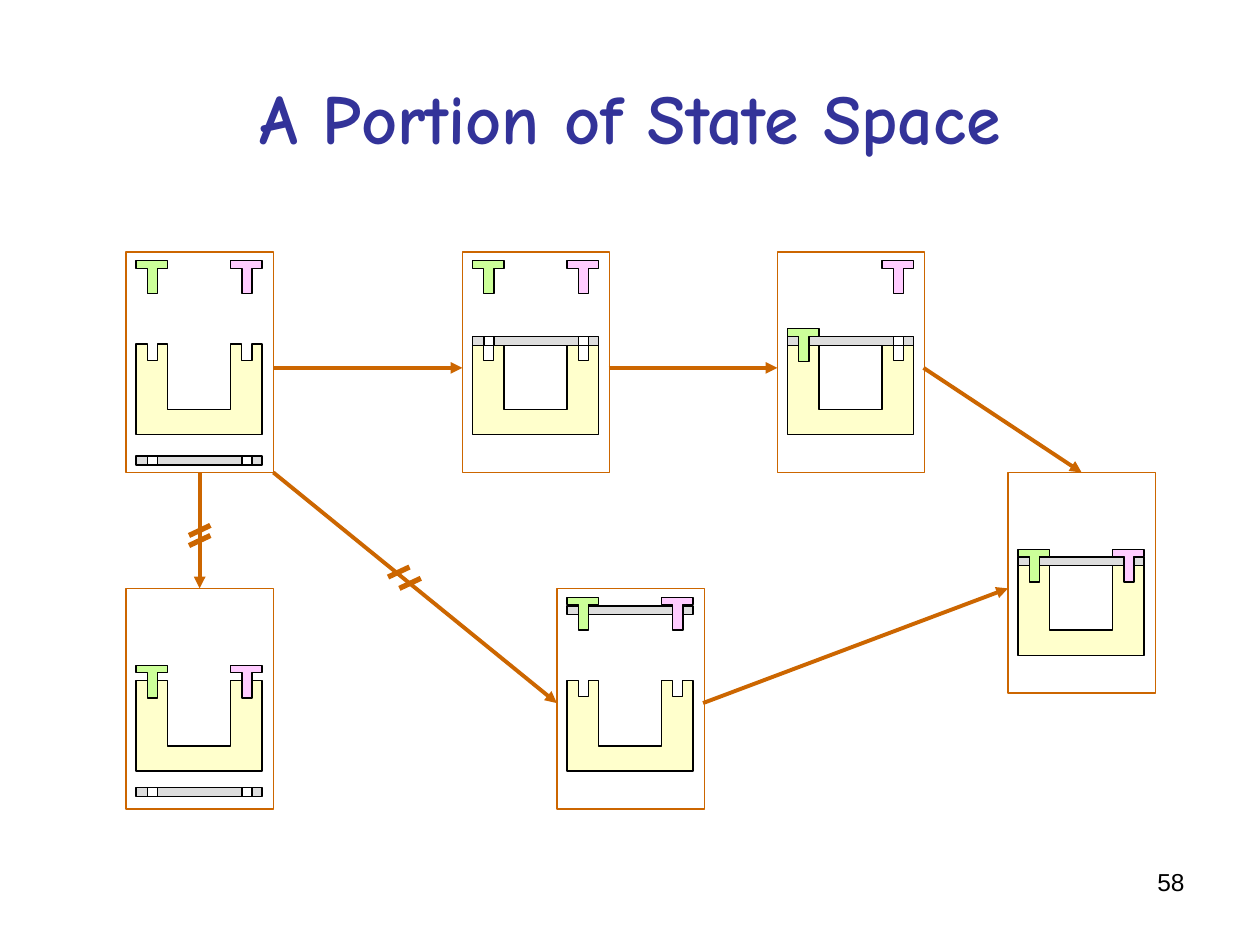
from pptx import Presentation
from pptx.dml.color import RGBColor
from pptx.enum.shapes import MSO_CONNECTOR as CONN, MSO_SHAPE as SHAPE
from pptx.enum.text import MSO_ANCHOR as ANCHOR, PP_ALIGN as ALIGN
from pptx.oxml.ns import qn
from pptx.util import Inches, Pt
from lxml.etree import SubElement

COLORS = {
    "title": "333399", "frame": "CC6600", "base": "FFFFCC", "plate": "DDDDDD",
    "hole": "FFFFFF", "green": "CCFF99", "pink": "FFCCFF", "ink": "000000",
}
FRAME_W, FRAME_H, MARGIN = 1.17, 1.75, 0.08
BASE = [(0, 0), (0.09, 0), (0.09, 0.13), (0.17, 0.13), (0.17, 0), (0.25, 0),
        (0.25, 0.52), (0.75, 0.52), (0.75, 0), (0.84, 0), (0.84, 0.13),
        (0.92, 0.13), (0.92, 0), (1, 0), (1, 0.72), (0, 0.72)]
BOLT = [(0.17, 0.26), (0.09, 0.26), (0.09, 0.06), (0, 0.06), (0, 0),
        (0.25, 0), (0.25, 0.06), (0.17, 0.06)]

prs = Presentation()
prs.slide_width, prs.slide_height = Inches(10), Inches(7.5)
s = prs.slides.add_slide(prs.slide_layouts[5])


def paint(sp, fill, line="ink"):
    sp.shadow.inherit = False
    if fill:
        sp.fill.solid()
        sp.fill.fore_color.rgb = RGBColor.from_string(COLORS[fill])
    else:
        sp.fill.background()
    sp.line.color.rgb = RGBColor.from_string(COLORS[line])
    sp.line.width = Pt(0.75)


def add_outline(points, x, y, fill):
    pts = [(Inches(x + dx), Inches(y + dy)) for dx, dy in points]
    fb = s.shapes.build_freeform(*pts[0])
    fb.add_line_segments(pts[1:], close=True)
    paint(fb.convert_to_shape(), fill)


title = s.shapes.title
title.left, title.top = Inches(0.5), Inches(0.3)
title.width, title.height = Inches(9), Inches(1.25)
number = s.shapes.add_textbox(Inches(7.17), Inches(6.83), Inches(2.33), Inches(0.52))
texts = [
    (title, "A Portion of State Space", ANCHOR.MIDDLE, ALIGN.CENTER, "title",
     {"name": "Comic Neue", "size": Pt(40), "bold": True}),
    (number, "58", ANCHOR.TOP, ALIGN.RIGHT, "ink", {"name": "Arial", "size": Pt(14)}),
]
for sp, text, anchor, align, color, fmt in texts:
    tf = sp.text_frame
    tf.word_wrap = True
    tf.vertical_anchor = anchor
    p = tf.paragraphs[0]
    p.alignment = align
    r = p.add_run()
    r.text = text
    for key, value in fmt.items():
        setattr(r.font, key, value)
    r.font.color.rgb = RGBColor.from_string(COLORS[color])

# name: frame x, frame y, then drop of plate, green bolt and pink bolt
states = {
    "start": (1, 2, 1.62, 0.07, 0.07),
    "green_in": (6.17, 2, 0.67, 0.61, 0.07),
    "bolts_in_plate": (4.42, 4.67, 0.14, 0.07, 0.07),
    "plate_on": (3.67, 2, 0.67, 0.07, 0.07),
    "bolts_no_plate": (1, 4.67, 1.58, 0.61, 0.61),
    "assembled": (8, 3.75, 0.67, 0.61, 0.61),
}
frames = {}
for name, (x, y, plate, green, pink) in states.items():
    left = x + MARGIN
    add_outline(BASE, left, y + 0.73, "base")
    for dx, w, fill in [(0, 1, "plate"), (0.84, 0.08, "hole"), (0.09, 0.08, "hole")]:
        sp = s.shapes.add_shape(SHAPE.RECTANGLE, Inches(left + dx), Inches(y + plate),
                                Inches(w), Inches(0.07))
        paint(sp, fill)
    add_outline(BOLT, left, y + green, "green")
    add_outline(BOLT, left + 0.75, y + pink, "pink")
    frames[name] = s.shapes.add_shape(SHAPE.RECTANGLE, Inches(x), Inches(y),
                                      Inches(FRAME_W), Inches(FRAME_H))
    paint(frames[name], None, "frame")

arrows = [
    (1.58, 3.75, 1.58, 4.67, ("start", 2), ("bolts_no_plate", 0)),
    (2.17, 2.92, 3.67, 2.92, None, None),
    (2.17, 3.75, 4.42, 5.58, None, None),
    (4.83, 2.92, 6.17, 2.92, None, None),
    (5.58, 5.58, 8, 4.67, None, None),
    (7.33, 2.92, 8.58, 3.75, None, ("assembled", 0)),
]
strokes = [(x, y, x + 0.17, y - 0.08, None, None)
           for x, y in [(1.5, 4.25), (1.5, 4.33), (3.08, 4.58), (3.17, 4.67)]]
for lines, width, head in [(arrows, 2.25, True), (strokes, 3, False)]:
    for x1, y1, x2, y2, begin, end in lines:
        c = s.shapes.add_connector(CONN.STRAIGHT, Inches(x1), Inches(y1),
                                   Inches(x2), Inches(y2))
        if begin:
            c.begin_connect(frames[begin[0]], begin[1])
        if end:
            c.end_connect(frames[end[0]], end[1])
        c.line.color.rgb = RGBColor.from_string(COLORS["frame"])
        c.line.width = Pt(width)
        if head:
            SubElement(c.line._get_or_add_ln(), qn("a:tailEnd"), type="triangle")
        SubElement(c._element.spPr, qn("a:effectLst"))

prs.save("out.pptx")
